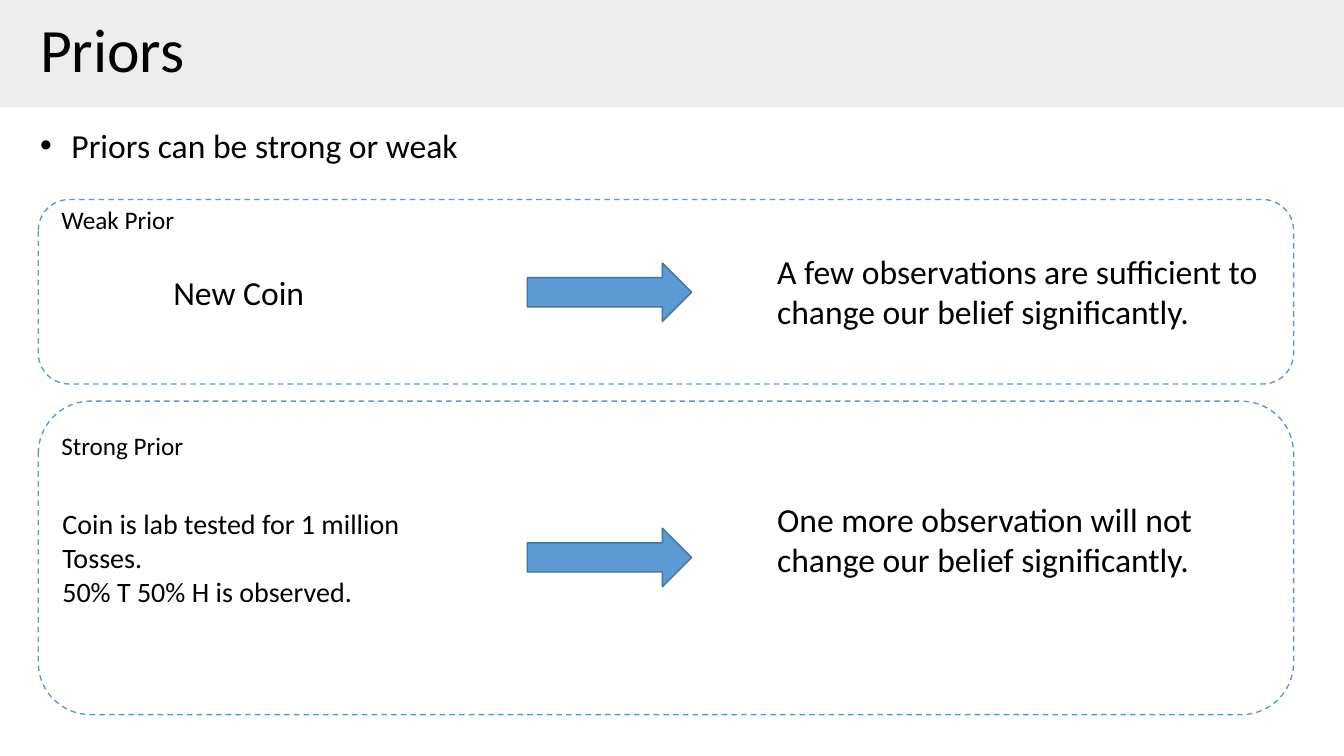
from lxml.etree import SubElement
from pptx import Presentation
from pptx.dml.color import RGBColor
from pptx.enum.dml import MSO_LINE_DASH_STYLE as Dash
from pptx.enum.shapes import MSO_SHAPE as Shape
from pptx.enum.text import MSO_ANCHOR as Anchor
from pptx.oxml.ns import qn
from pptx.util import Inches, Pt

COLORS = {"band": "EDEDED", "blue": "5B9BD5", "edge": "43739E", "text": "000000"}


def color(key):
    return RGBColor.from_string(COLORS[key])


def add_block(slide, kind, box, fill=None, line=None, dash=None):
    block = slide.shapes.add_shape(kind, *map(Inches, box))
    block.shadow.inherit = False
    if fill:
        block.fill.solid()
        block.fill.fore_color.rgb = color(fill)
    else:
        block.fill.background()
    if line:
        block.line.color.rgb = color(line)
        block.line.width = Pt(1)
        block.line.dash_style = dash
    else:
        block.line.fill.background()


def add_bullet(paragraph):
    properties = paragraph._p.get_or_add_pPr()
    properties.set("marL", str(Inches(0.31)))
    properties.set("indent", str(-Inches(0.31)))
    SubElement(properties, qn("a:buFont")).set("typeface", "Arial")
    SubElement(properties, qn("a:buChar")).set("char", "•")


def add_text(slide, box, lines, size, wrap=True, bullet=False, spacing=None, anchor=Anchor.TOP):
    frame = slide.shapes.add_textbox(*map(Inches, box)).text_frame
    frame.word_wrap = wrap
    frame.vertical_anchor = anchor
    frame.text = "\n".join(lines)
    font_format = {"name": "Calibri", "size": Pt(size)}
    for paragraph in frame.paragraphs:
        if bullet:
            add_bullet(paragraph)
        if spacing:
            paragraph.line_spacing = spacing
        for run in paragraph.runs:
            for attribute, value in font_format.items():
                setattr(run.font, attribute, value)
            run.font.color.rgb = color("text")


def add_prior(slide, top, height, label, label_top, arrow_top, belief, belief_top):
    add_block(slide, Shape.ROUNDED_RECTANGLE, (0.38, top, 12.45, height),
              line="blue", dash=Dash.DASH)
    add_text(slide, (0.51, label_top, 1.43, 0.4), [label], 18, wrap=False)
    add_block(slide, Shape.RIGHT_ARROW, (5.23, arrow_top, 1.63, 0.58), "blue", "edge")
    add_text(slide, (7.61, belief_top, 5.01, 0.91), [belief], 24)


def main():
    """Build the slide on weak and strong priors."""
    deck = Presentation()
    deck.slide_width, deck.slide_height = Inches(13.33), Inches(7.5)
    slide = deck.slides.add_slide(deck.slide_layouts[6])

    add_block(slide, Shape.RECTANGLE, (0, 0, 13.33, 1.06), "band")
    add_text(slide, (0.3, 0.13, 11.5, 0.78), ["Priors"], 44, spacing=0.9, anchor=Anchor.MIDDLE)
    add_text(slide, (0.3, 1.19, 4.38, 0.5), ["Priors can be strong or weak"], 24,
             wrap=False, bullet=True)

    add_prior(slide, 1.98, 1.83, "Weak Prior", 1.98, 2.61,
              "A few observations are sufficient to change our belief significantly.", 2.44)
    add_text(slide, (1.62, 2.65, 1.51, 0.5), ["New Coin"], 24, wrap=False)

    add_prior(slide, 3.98, 3.11, "Strong Prior", 4.22, 5.24,
              "One more observation will not change our belief significantly.", 4.9)
    add_text(slide, (0.52, 4.98, 4.03, 1.11),
             ["Coin is lab tested for 1 million Tosses.", "50% T 50% H is observed."], 20)

    deck.save("out.pptx")


if __name__ == "__main__":
    main()
